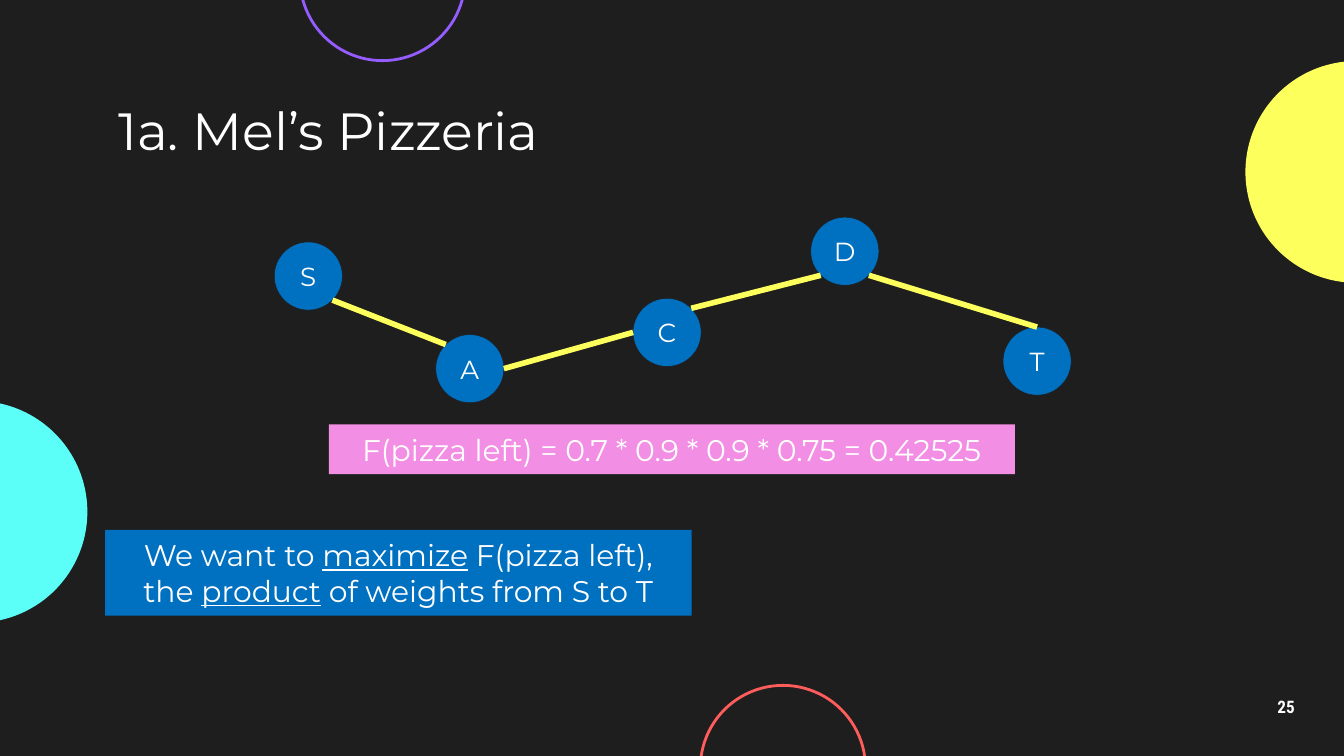
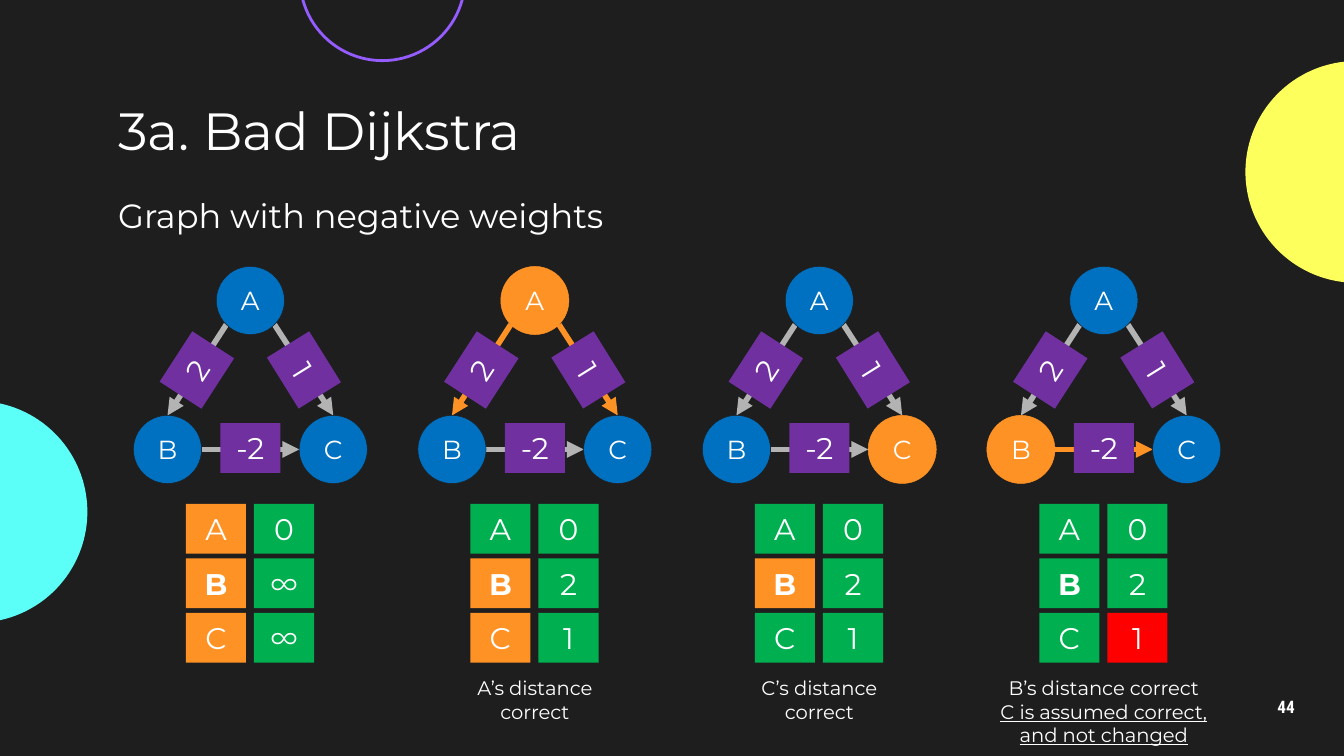
"""Build two dark slides about weighted graphs and shortest paths."""
import math
from dataclasses import dataclass

import pptx
import pptx.dml.color
import pptx.enum.shapes
import pptx.enum.text
import pptx.oxml
import pptx.oxml.ns
import pptx.util

Pt = pptx.util.Pt
SHAPE = pptx.enum.shapes.MSO_SHAPE
ALIGN = pptx.enum.text.PP_ALIGN
ANCHOR = pptx.enum.text.MSO_ANCHOR
FIT = pptx.enum.text.MSO_AUTO_SIZE


@dataclass(frozen=True)
class Theme:
    background: str = "1E1E1E"
    text: str = "FFFFFF"
    node: str = "0070C0"
    highlight: str = "FF9225"
    path_edge: str = "FDFF5C"
    edge: str = "B3B3B3"
    weight: str = "7030A0"
    formula: str = "F28EE4"
    settled: str = "00B050"
    wrong: str = "FF0000"
    cyan: str = "5CFFF8"
    yellow: str = "FDFF5C"
    purple: str = "955CFF"
    coral: str = "FF5C5C"
    font: str = "Montserrat"
    number_font: str = "Roboto Condensed"
    title_size: float = 28
    subtitle_size: float = 18
    box_size: float = 16
    node_size: float = 14
    caption_size: float = 10.5
    number_size: float = 9.2


THEME = Theme()
DIAMETER = 36.5
CELL_WIDTH, CELL_HEIGHT = 32.2, 26.7
SITES = {"top": 270, "top left": 225, "left": 180, "bottom left": 135,
         "bottom right": 45, "right": 0, "top right": 315}


def rgb(color):
    return pptx.dml.color.RGBColor.from_string(color)


def apply(target, values):
    for name, value in values.items():
        setattr(target, name, value)


def drawing_element(tag, attributes=""):
    return pptx.oxml.parse_xml(f'<a:{tag} {pptx.oxml.ns.nsdecls("a")} {attributes}/>')


def site(center, name):
    angle = math.radians(SITES[name])
    return (center[0] + DIAMETER / 2 * math.cos(angle),
            center[1] + DIAMETER / 2 * math.sin(angle))


class Deck:
    """Hold the style and the current slide, and draw each kind of element."""

    def __init__(self, presentation):
        self.presentation = presentation
        self.layout = presentation.slide_layouts[5]
        background = presentation.slide_master.background.fill
        background.solid()
        background.fore_color.rgb = rgb(THEME.background)
        self.slide = self.shapes = None

    def new_slide(self, title, number):
        first = self.slide is None
        self.slide = self.presentation.slides.add_slide(self.layout)
        self.shapes = self.slide.shapes
        if first:
            self.decorate_layout()
        heading = self.slide.shapes.title
        apply(heading, {"left": Pt(56.2), "top": Pt(51), "width": Pt(607.6), "height": Pt(37)})
        self.set_text(heading, [[(title, {})]], THEME.title_size, ALIGN.LEFT, margin=7.2)
        self.text(667.4, 367.2, 43.2, 24.5, [[(number, {"bold": True})]],
                  THEME.number_size, font=THEME.number_font, spacing=0.9)

    def decorate_layout(self):
        circles = [(-72, 214.8, 118.8, THEME.cyan, None),
                   (667.2, 32.7, 118.8, THEME.yellow, None),
                   (160.7, -56, 88.5, None, THEME.purple),
                   (375.2, 367.2, 88.5, None, THEME.coral)]
        for index, (left, top, size, fill, line) in enumerate(circles):
            element = self.shape(SHAPE.OVAL, left, top, size, size, fill, line, 1.5).element
            element.nvSpPr.cNvPr.set("id", str(100 + index))
            self.layout.shapes.element.insert(2 + index, element)

    def set_text(self, shape, paragraphs, size, alignment=ALIGN.CENTER, font=THEME.font,
                 anchor=ANCHOR.MIDDLE, margin=None, fit=FIT.NONE, spacing=None):
        frame = shape.text_frame
        apply(frame, {"word_wrap": True, "auto_size": fit, "vertical_anchor": anchor})
        if margin is not None:
            sides = ("left", "right", "top", "bottom")
            apply(frame, {f"margin_{side}": Pt(margin) for side in sides})
        for index, runs in enumerate(paragraphs):
            paragraph = frame.add_paragraph() if index else frame.paragraphs[0]
            apply(paragraph, {"alignment": alignment, "line_spacing": spacing})
            for text, values in runs:
                if text == "\n":
                    paragraph.add_line_break()
                    continue
                run = paragraph.add_run()
                run.text = text
                apply(run.font, {"name": font, "size": Pt(size), **values})
                run.font.color.rgb = rgb(THEME.text)

    def shape(self, kind, left, top, width, height, fill=None, line=None, line_width=0.25):
        shape = self.shapes.add_shape(kind, Pt(left), Pt(top), Pt(width), Pt(height))
        shape.shadow.inherit = False
        if fill:
            shape.fill.solid()
            shape.fill.fore_color.rgb = rgb(fill)
        else:
            shape.fill.background()
        if line:
            shape.line.color.rgb = rgb(line)
            shape.line.width = Pt(line_width)
        else:
            shape.line.fill.background()
        return shape

    def box(self, left, top, width, height, fill, runs, rotation=0):
        shape = self.shape(SHAPE.RECTANGLE, left, top, width, height, fill)
        shape.rotation = rotation
        self.set_text(shape, [runs], THEME.box_size, fit=FIT.SHAPE_TO_FIT_TEXT)

    def node(self, center, label, highlighted=False):
        fill = THEME.highlight if highlighted else THEME.node
        line = THEME.highlight if highlighted else THEME.background
        shape = self.shape(SHAPE.OVAL, center[0] - DIAMETER / 2, center[1] - DIAMETER / 2,
                           DIAMETER, DIAMETER, fill, line)
        self.set_text(shape, [[(label, {})]], THEME.node_size)

    def edge(self, start, end, color, arrow=False):
        connector = self.shapes.add_connector(
            pptx.enum.shapes.MSO_CONNECTOR.STRAIGHT, *(Pt(value) for value in (*start, *end)))
        connector.line.color.rgb = rgb(color)
        connector.line.width = Pt(3)
        properties = connector.element.spPr
        if arrow:
            line = properties.find(pptx.oxml.ns.qn("a:ln"))
            line.append(drawing_element("tailEnd", 'type="triangle"'))
        properties.append(drawing_element("effectLst"))

    def text(self, left, top, width, height, paragraphs, size, **values):
        shape = self.shapes.add_textbox(Pt(left), Pt(top), Pt(width), Pt(height))
        self.set_text(shape, paragraphs, size, margin=7.2, **values)

    def group(self):
        self.shapes = self.slide.shapes.add_group_shape().shapes


def pizzeria_slide(deck):
    deck.new_slide("1a. Mel’s Pizzeria", "25")
    centers = {"S": (165.2, 147.9), "A": (251.7, 197.5), "C": (357.4, 178.1),
               "D": (452.6, 134.6), "T": (555.6, 193.5)}
    edges = [("S", "bottom right", "A", "top left"), ("A", "right", "C", "left"),
             ("C", "top right", "D", "bottom left"), ("D", "bottom right", "T", "top")]
    for label, center in centers.items():
        deck.node(center, label)
    for start, start_site, end, end_site in edges:
        deck.edge(site(centers[start], start_site), site(centers[end], end_site),
                  THEME.path_edge)
    deck.box(176.2, 227.4, 367.6, CELL_HEIGHT, THEME.formula,
             [("F(pizza left) = 0.7 * 0.9 * 0.9 * 0.75 = 0.42525", {})])
    underlined = {"underline": True}
    deck.box(56.3, 283.9, 314.3, 46, THEME.node,
             [("We want to ", {}), ("maximize", underlined), (" F(pizza left),", {}),
              ("\n", {}), ("the ", {}), ("product", underlined),
              (" of weights from S to T", {})])


def dijkstra_step(deck, left, current, distances, pending, wrong, caption, caption_width):
    deck.group()
    middle = left + 62.65
    base = 240.8
    centers = {"A": (middle, 161), "B": (middle - 44.4, base), "C": (middle + 44.4, base)}
    edges = [("B", "right", "C", "left", "-2", 0, -0.8),
             ("A", "bottom right", "C", "top", "1", 58.1, 0),
             ("A", "bottom left", "B", "top", "2", 302.9, 0)]
    weights = []
    for start, start_site, end, end_site, weight, rotation, shift in edges:
        begin, finish = site(centers[start], start_site), site(centers[end], end_site)
        color = THEME.highlight if start == current else THEME.edge
        deck.edge(begin, finish, color, arrow=True)
        weights.append(((begin[0] + finish[0] - CELL_WIDTH) / 2,
                        (begin[1] + finish[1] - CELL_HEIGHT) / 2 + shift, weight, rotation))
    for label, center in centers.items():
        deck.node(center, label, label == current)
    for x, y, weight, rotation in weights:
        deck.box(x, y, CELL_WIDTH, CELL_HEIGHT, THEME.weight, [(weight, {})], rotation)
    for row, (label, distance) in enumerate(zip("ABC", distances)):
        key_fill = THEME.highlight if label in pending else THEME.settled
        value_fill = THEME.wrong if label in wrong else THEME.settled
        cells = [(label, key_fill, {"bold": label == "B"}), (distance, value_fill, {})]
        for column, (text, fill, values) in enumerate(cells):
            deck.box(left + 28.1 + 36.5 * column, 270 + 29.2 * row,
                     CELL_WIDTH, CELL_HEIGHT, fill, [(text, values)])
    if caption:
        deck.text(middle - caption_width / 2, 355, caption_width, 36 if len(caption) == 1 else 50,
                  caption, THEME.caption_size, anchor=ANCHOR.TOP)


def dijkstra_slide(deck):
    deck.new_slide("3a. Bad Dijkstra", "44")
    deck.shape(SHAPE.RECTANGLE, 335.5, 348.5, 171.4, 56.5, THEME.background)
    deck.text(56.2, 97.2, 607.6, 36, [[("Graph with negative weights", {})]],
              THEME.subtitle_size, alignment=ALIGN.LEFT, anchor=ANCHOR.TOP)
    steps = [("", "0∞∞", "ABC", "", [], 0),
             ("A", "021", "BC", "", [[("A’s distance correct", {})]], 94.3),
             ("C", "021", "B", "", [[("C’s distance correct", {})]], 94.3),
             ("B", "021", "", "C",
              [[("B’s distance correct", {})],
               [("C is assumed correct, and not changed", {"underline": True})]], 137.5)]
    for index, step in enumerate(steps):
        dijkstra_step(deck, 71.5 + 152.4 * index, *step)


def main():
    presentation = pptx.Presentation()
    apply(presentation, {"slide_width": Pt(720), "slide_height": Pt(405)})
    deck = Deck(presentation)
    pizzeria_slide(deck)
    dijkstra_slide(deck)
    presentation.save("out.pptx")


if __name__ == "__main__":
    main()
